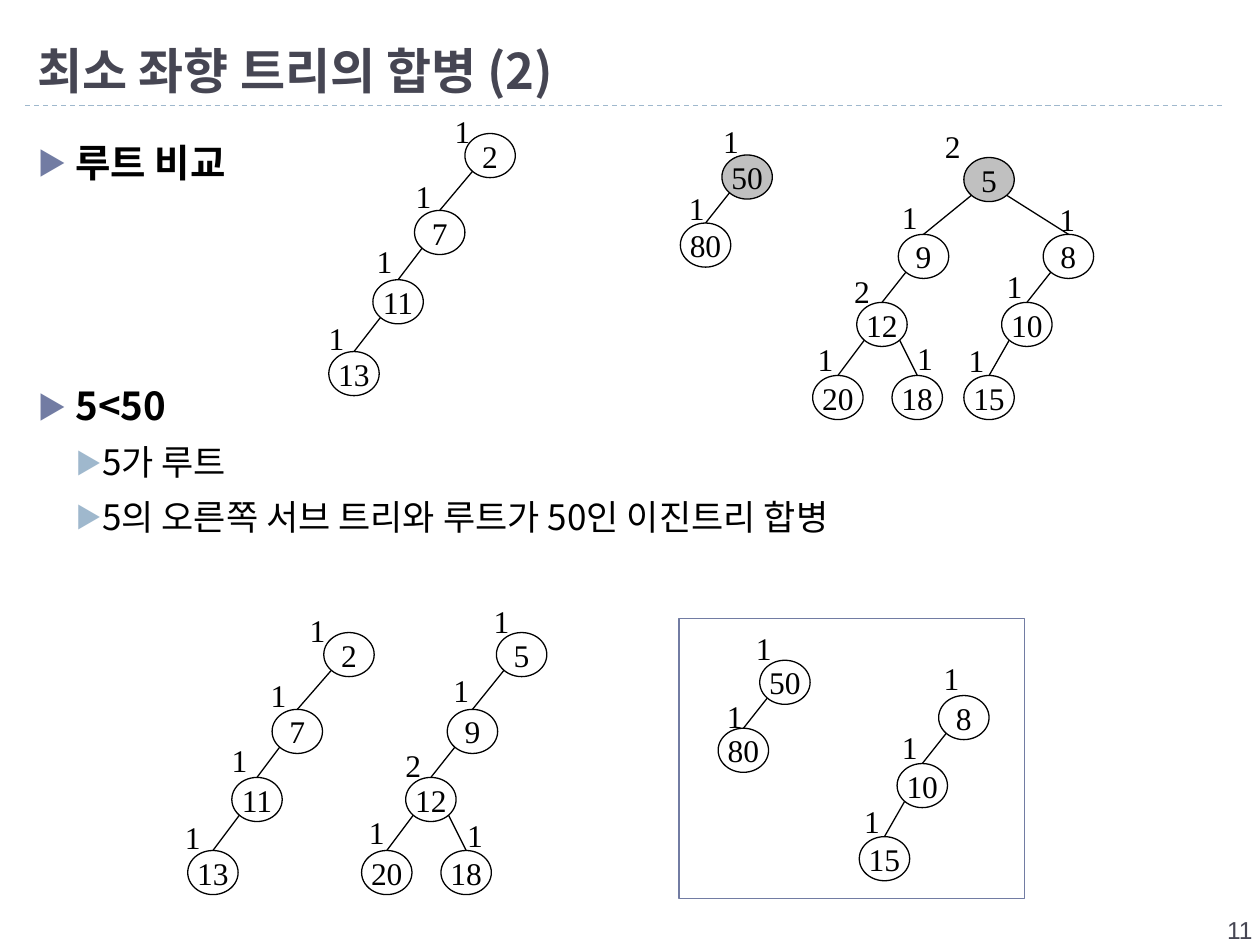
from dataclasses import dataclass
from lxml.etree import SubElement
from pptx import Presentation
from pptx.dml.color import RGBColor
from pptx.enum.dml import MSO_LINE
from pptx.enum.shapes import MSO_CONNECTOR, MSO_SHAPE
from pptx.enum.text import MSO_ANCHOR, PP_ALIGN
from pptx.oxml.ns import qn
from pptx.util import Inches, Pt


@dataclass
class Theme:
    korean: str = "Noto Sans CJK KR"
    serif: str = "Times New Roman"
    sans: str = "Arial"
    black: str = "000000"
    heading: str = "464653"
    accent: str = "727CA3"
    pale: str = "9FB8CD"
    grey: str = "C0C0C0"
    title_size: int = 28
    point_size: int = 22
    detail_size: int = 20
    node_size: int = 18
    number_size: int = 14
    line_width: float = 0.75


theme = Theme()


def add_run(para, text, size, font, color, bold=False):
    span = para.add_run()
    span.text = text
    span.font.size = Pt(size)
    span.font.name = font
    span.font.bold = bold
    span.font.color.rgb = RGBColor.from_string(color)
    SubElement(span._r.get_or_add_rPr(), qn("a:ea")).set("typeface", font)


def add_line(x1, y1, x2, y2, color):
    line = page.shapes.add_connector(
        MSO_CONNECTOR.STRAIGHT, Inches(x1), Inches(y1), Inches(x2), Inches(y2))
    line.line.color.rgb = RGBColor.from_string(color)
    line.line.width = Pt(theme.line_width)
    SubElement(line._element.spPr, qn("a:effectLst"))
    return line


deck = Presentation()
deck.slide_width, deck.slide_height = Inches(10), Inches(7.5)
page = deck.slides.add_slide(deck.slide_layouts[5])

# Title and the rule below it
title = page.shapes.title
title.left, title.top = Inches(0.2), Inches(0.17)
title.width, title.height = Inches(9.61), Inches(0.67)
title.text_frame.vertical_anchor = MSO_ANCHOR.BOTTOM
title.text_frame.paragraphs[0].alignment = PP_ALIGN.LEFT
add_run(title.text_frame.paragraphs[0], "최소 좌향 트리의 합병 (2)",
        theme.title_size, theme.korean, theme.heading, True)
add_line(0.2, 0.84, 9.72, 0.84, theme.pale).line.dash_style = MSO_LINE.DASH

# Bullet text: top and height of each block, then (level, text)
blocks = [
    (0.95, 0.6, [(0, "루트 비교")]),
    (2.88, 1.5, [(0, "5<50"), (1, "5가 루트"),
                 (1, "5의 오른쪽 서브 트리와 루트가 50인 이진트리 합병")]),
]
# Size, bold, bullet colour, margin, indent and line pitch of each level
levels = [
    (theme.point_size, True, theme.accent, 0.3, -0.3, 34),
    (theme.detail_size, False, theme.pale, 0.49, -0.19, 31),
]
for top, height, points in blocks:
    box = page.shapes.add_textbox(Inches(0.2), Inches(top), Inches(9.61), Inches(height))
    box.text_frame.word_wrap = True
    for index, (level, text) in enumerate(points):
        size, bold, bullet_color, margin, indent, pitch = levels[level]
        para = box.text_frame.add_paragraph() if index else box.text_frame.paragraphs[0]
        para.level = level
        para.line_spacing = Pt(pitch)
        props = para._p.get_or_add_pPr()
        props.set("marL", str(Inches(margin)))
        props.set("indent", str(Inches(indent)))
        SubElement(SubElement(props, qn("a:buClr")), qn("a:srgbClr")).set("val", bullet_color)
        SubElement(props, qn("a:buSzPct")).set("val", "76000")
        SubElement(props, qn("a:buFont")).set("typeface", theme.korean)
        SubElement(props, qn("a:buChar")).set("char", "▶")
        add_run(para, text, size, theme.korean, theme.black, bold)

# Frame around the two trees still to be merged
frame = page.shapes.add_shape(
    MSO_SHAPE.RECTANGLE, Inches(5.39), Inches(4.91), Inches(2.74), Inches(2.22))
frame.shadow.inherit = False
frame.fill.background()
frame.line.color.rgb = RGBColor.from_string(theme.accent)
frame.line.width = Pt(theme.line_width)

# Trees: key -> (left, top, rank, rank left, rank top, parent)
trees = [
    {2: (3.69, 1.06, 1, 3.51, 0.84, None), 7: (3.29, 1.67, 1, 3.2, 1.36, 2),
     11: (2.96, 2.22, 1, 2.89, 1.87, 7), 13: (2.61, 2.79, 1, 2.51, 2.48, 11)},
    {50: (5.73, 1.23, 1, 5.64, 0.92, None), 80: (5.4, 1.77, 1, 5.37, 1.45, 50)},
    {5: (7.65, 1.25, 2, 7.4, 0.96, None), 9: (7.13, 1.86, 1, 7.06, 1.52, 5),
     8: (8.28, 1.86, 1, 8.31, 1.54, 5), 12: (6.8, 2.4, 2, 6.68, 2.11, 9),
     10: (7.95, 2.4, 1, 7.89, 2.07, 8), 20: (6.45, 2.98, 1, 6.39, 2.65, 12),
     18: (7.08, 2.98, 1, 7.18, 2.64, 12), 15: (7.65, 2.98, 1, 7.59, 2.66, 10)},
    {2: (2.57, 5.02, 1, 2.36, 4.8, None), 7: (2.16, 5.63, 1, 2.05, 5.32, 2),
     11: (1.84, 6.17, 1, 1.74, 5.83, 7), 13: (1.49, 6.75, 1, 1.37, 6.44, 11)},
    {5: (3.94, 5.02, 1, 3.82, 4.73, None), 9: (3.55, 5.63, 1, 3.5, 5.28, 5),
     12: (3.22, 6.17, 2, 3.12, 5.87, 9), 20: (2.87, 6.75, 1, 2.83, 6.4, 12),
     18: (3.5, 6.75, 1, 3.61, 6.43, 12)},
    {50: (6.03, 5.24, 1, 5.9, 4.94, None), 80: (5.7, 5.78, 1, 5.67, 5.48, 50)},
    {8: (7.45, 5.52, 1, 7.39, 5.18, None), 10: (7.12, 6.06, 1, 7.06, 5.73, 8),
     15: (6.82, 6.64, 1, 6.76, 6.32, 10)},
]
compared_roots = [(1, 50), (2, 5)]
node_width, node_height = 0.4, 0.35

for number, tree in enumerate(trees):
    for key, (left, top, rank, rank_left, rank_top, parent) in tree.items():
        # Edge from the parent's lower left or lower right to the node's top
        if parent is not None:
            parent_left, parent_top = tree[parent][:2]
            offset = 0.06 if left < parent_left else node_width - 0.06
            add_line(parent_left + offset, parent_top + 0.3,
                     left + node_width / 2, top, theme.black)

        node = page.shapes.add_shape(
            MSO_SHAPE.OVAL, Inches(left), Inches(top), Inches(node_width), Inches(node_height))
        node.shadow.inherit = False
        node.line.color.rgb = RGBColor.from_string(theme.black)
        node.line.width = Pt(theme.line_width)
        if (number, key) in compared_roots:
            node.fill.solid()
            node.fill.fore_color.rgb = RGBColor.from_string(theme.grey)
        else:
            node.fill.background()
        node.text_frame.word_wrap = False
        node.text_frame.vertical_anchor = MSO_ANCHOR.MIDDLE
        node.text_frame.paragraphs[0].alignment = PP_ALIGN.CENTER
        add_run(node.text_frame.paragraphs[0], str(key),
                theme.node_size, theme.serif, theme.black)

        label = page.shapes.add_textbox(
            Inches(rank_left), Inches(rank_top), Inches(0.33), Inches(0.4))
        label.text_frame.word_wrap = False
        add_run(label.text_frame.paragraphs[0], str(rank),
                theme.node_size, theme.serif, theme.black)

# Page number
box = page.shapes.add_textbox(Inches(7.87), Inches(7.21), Inches(2.17), Inches(0.4))
box.text_frame.word_wrap = True
box.text_frame.paragraphs[0].alignment = PP_ALIGN.RIGHT
add_run(box.text_frame.paragraphs[0], "11", theme.number_size, theme.sans, theme.heading)

deck.save("out.pptx")
